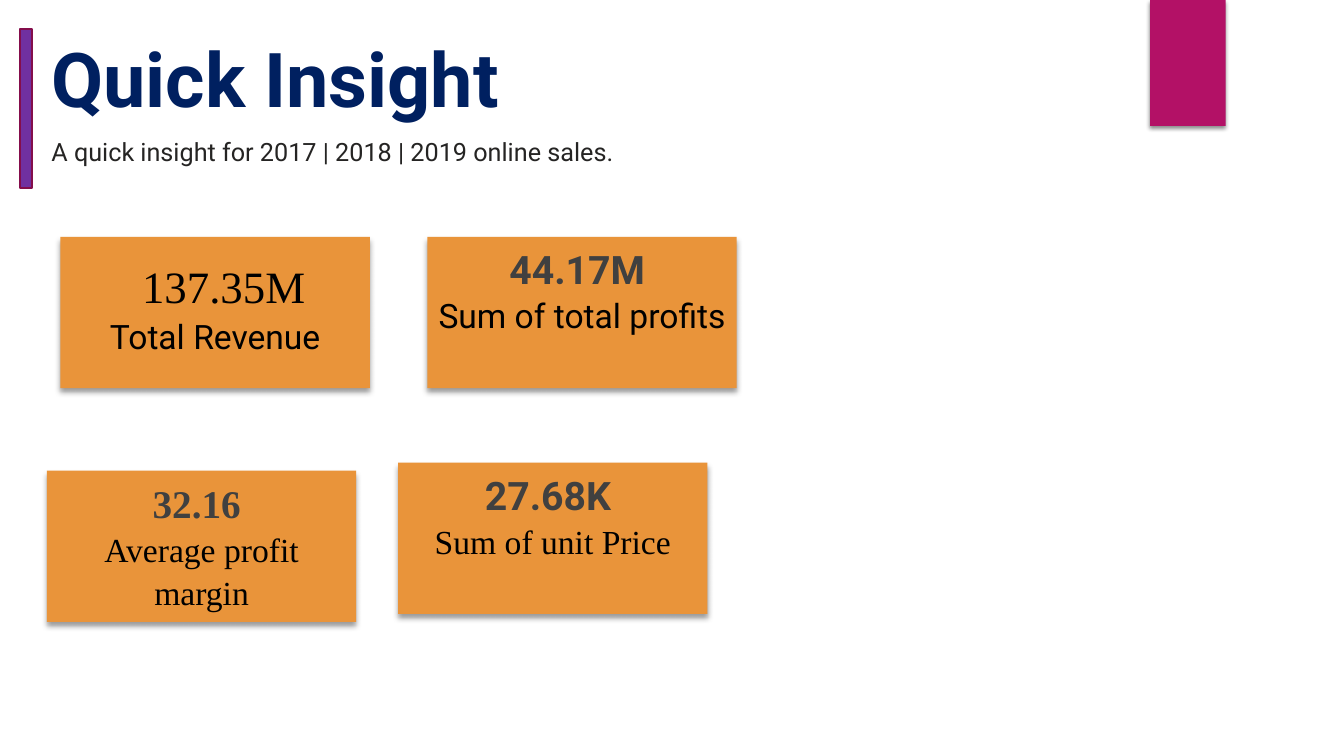
from lxml.etree import SubElement
from pptx import Presentation
from pptx.dml.color import RGBColor
from pptx.enum.shapes import MSO_SHAPE as Shape
from pptx.enum.text import MSO_ANCHOR as Anchor, PP_ALIGN as Align
from pptx.oxml.ns import qn
from pptx.util import Pt

MAGENTA = RGBColor(0xB3, 0x11, 0x66)
PURPLE = RGBColor(0x70, 0x30, 0xA0)
PLUM = RGBColor(0x84, 0x0D, 0x4B)
NAVY = RGBColor(0x00, 0x20, 0x60)
INK = RGBColor(0x25, 0x24, 0x23)
ORANGE = RGBColor(0xE9, 0x94, 0x3A)
GREY = RGBColor(0x40, 0x40, 0x40)
BLACK = RGBColor(0x00, 0x00, 0x00)
SANS, SERIF, GEOMETRIC = "Roboto", "Times New Roman", "TeX Gyre Adventor"

# text, left, top, width, height, size, colour, bold, anchor
HEADINGS = [
    ("Quick Insight", 36.7, 22.3, 784, 65.5, 54, NAVY, True, Anchor.BOTTOM),
    ("A quick insight for 2017 | 2018 | 2019 online sales.",
     36.7, 75.6, 881, 65.5, 18, INK, False, Anchor.MIDDLE),
]

CARD_WIDTH, CARD_HEIGHT = 221, 108
# left, top, line spacing, lines of runs (text, size, font, colour, bold)
CARDS = [
    (43.2, 169.2, 1.0, [
        [(" ", 44, GEOMETRIC, BLACK, False), ("137.35M", 32, SERIF, BLACK, False)],
        [("Total Revenue", 24, SANS, BLACK, False)]]),
    (305.3, 169.2, 1.07, [
        [("44.17M ", 28, SANS, GREY, True)],
        [("Sum of total profits", 24, SANS, BLACK, False)]]),
    (33.5, 336.2, 1.07, [
        [("32.16 ", 28, SERIF, GREY, True)],
        [("Average profit margin", 24, SERIF, BLACK, False)]]),
    (284.4, 330.5, 1.07, [
        [("27.68K ", 28, SANS, GREY, True)],
        [("Sum of unit Price", 24, SERIF, BLACK, False)]]),
]


def style_font(font, size, name, color, bold):
    font.size, font.name, font.bold = Pt(size), name, bold
    font.color.rgb = color


def add_block(slide, kind, left, top, width, height, fill):
    block = slide.shapes.add_shape(kind, Pt(left), Pt(top), Pt(width), Pt(height))
    block.shadow.inherit = False
    block.fill.solid()
    block.fill.fore_color.rgb = fill
    block.line.fill.background()
    return block


def cast_shadow(shape, opacity, blur, distance):
    """Drop a black shadow straight down; opacity in percent, lengths in points."""
    effects = shape._element.spPr.find(qn("a:effectLst"))
    shadow = SubElement(effects, qn("a:outerShdw"), blurRad=str(Pt(blur)),
                        dist=str(Pt(distance)), dir="5400000", rotWithShape="0")
    color = SubElement(shadow, qn("a:srgbClr"), val=str(BLACK))
    SubElement(color, qn("a:alpha"), val=str(opacity * 1000))


def add_heading(slide, text, left, top, width, height, size, color, bold, anchor):
    box = slide.shapes.add_textbox(Pt(left), Pt(top), Pt(width), Pt(height))
    frame = box.text_frame
    frame.word_wrap = True
    frame.vertical_anchor = anchor
    frame.margin_left = frame.margin_right = frame.margin_top = frame.margin_bottom = 0
    paragraph = frame.paragraphs[0]
    paragraph.text = text
    style_font(paragraph.font, size, SANS, color, bold)


def add_card(slide, left, top, spacing, lines):
    card = add_block(slide, Shape.RECTANGLE, left, top, CARD_WIDTH, CARD_HEIGHT, ORANGE)
    cast_shadow(card, 40, 4, 3)
    frame = card.text_frame
    frame.word_wrap = True
    frame.vertical_anchor = Anchor.TOP
    for index, runs in enumerate(lines):
        paragraph = frame.add_paragraph() if index else frame.paragraphs[0]
        paragraph.alignment = Align.CENTER
        paragraph.line_spacing = spacing
        for text, *style in runs:
            run = paragraph.add_run()
            run.text = text
            style_font(run.font, *style)


def main():
    presentation = Presentation()
    presentation.slide_width, presentation.slide_height = Pt(960), Pt(540)
    slide = presentation.slides.add_slide(presentation.slide_layouts[6])

    ribbon = add_block(slide, Shape.RECTANGLE, 821.5, 0, 54, 90, MAGENTA)
    cast_shadow(ribbon, 45, 3, 2)
    accent = add_block(slide, Shape.MATH_MINUS, -59, 59, 154.8, 36.7, PURPLE)
    accent.rotation = 90
    accent.line.color.rgb = PLUM
    accent.line.width = Pt(1.5)

    for heading in HEADINGS:
        add_heading(slide, *heading)
    for card in CARDS:
        add_card(slide, *card)
    presentation.save("out.pptx")


if __name__ == "__main__":
    main()
